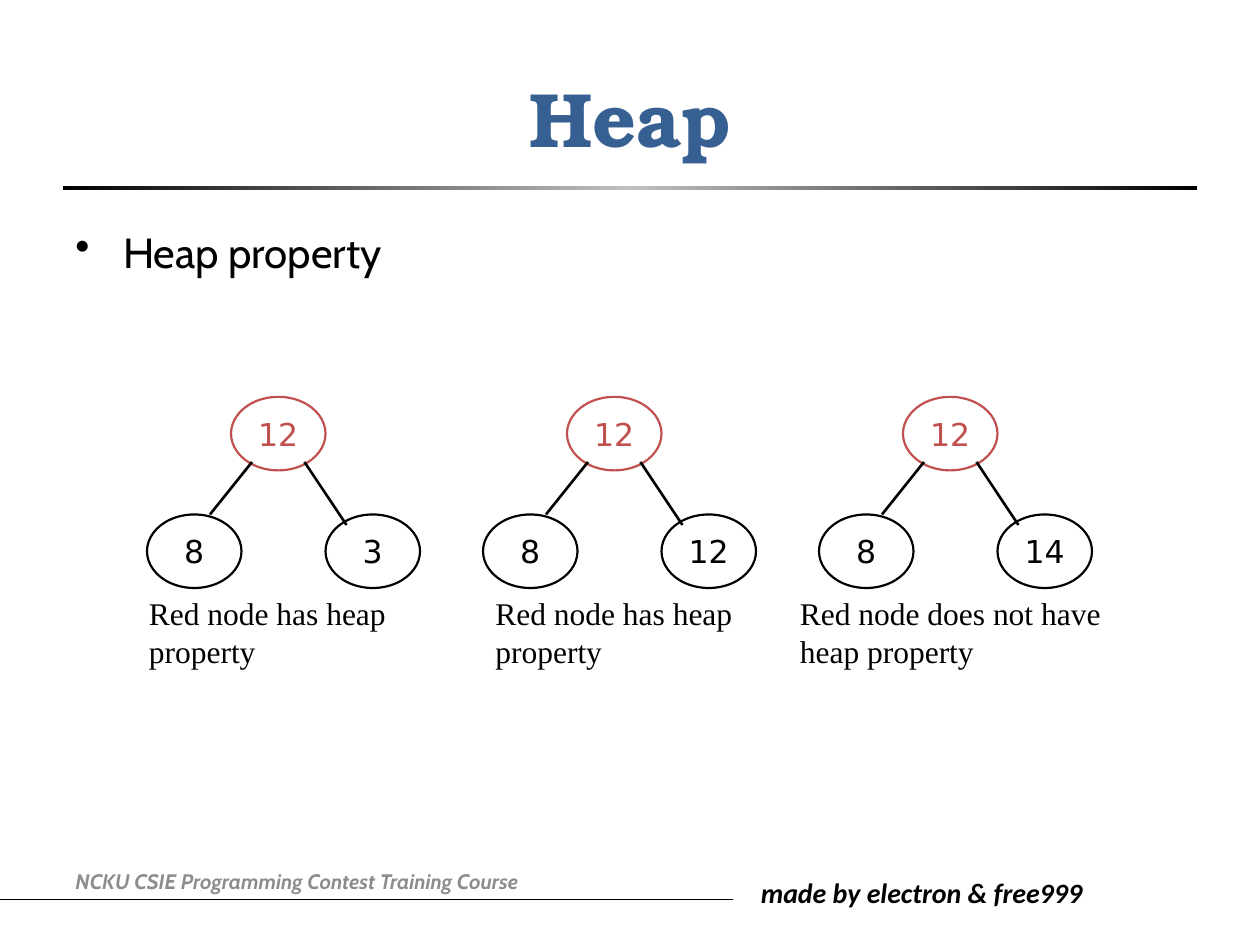
import copy
from dataclasses import dataclass

import lxml.etree
import pptx
import pptx.dml.color
import pptx.enum.shapes
import pptx.enum.text
import pptx.oxml.ns
import pptx.util

RGBColor = pptx.dml.color.RGBColor
Inches = pptx.util.Inches
Pt = pptx.util.Pt
ALIGN = pptx.enum.text.PP_ALIGN
ANCHOR = pptx.enum.text.MSO_ANCHOR
SHAPE = pptx.enum.shapes.MSO_SHAPE
qn = pptx.oxml.ns.qn

BLACK = RGBColor(0x00, 0x00, 0x00)
SILVER = RGBColor(0xC0, 0xC0, 0xC0)
GREY = RGBColor(0x8C, 0x8C, 0x8C)
BLUE = RGBColor(0x37, 0x60, 0x92)
RED = RGBColor(0xC0, 0x50, 0x4D)

UNIT = 1 / 12  # grid step in inches
TREE_PITCH = 32  # columns from one tree to the next
NODE_COLUMNS, NODE_ROWS = 9, 7
ROOT_ROW, CHILD_ROW, CAPTION_ROW = 37.8, 49, 56
MARGIN = 0.5
CONTENT_WIDTH = 9


@dataclass
class Tree:
    root: int
    left: int
    right: int
    caption: str
    caption_shift: int  # columns from the tree's left edge
    caption_columns: int


TREES = [
    Tree(12, 8, 3, "Red node has heap property", -1, 26),
    Tree(12, 8, 12, "Red node has heap property", 0, 26),
    Tree(12, 8, 14, "Red node does not have heap property", -3, 34),
]

deck = pptx.Presentation()
deck.slide_width, deck.slide_height = Inches(10), Inches(7.5)
slide = deck.slides.add_slide(deck.slide_layouts[5])


def grid(steps: float) -> int:
    return Inches(steps * UNIT)


def write(shape, text: str, *, font: str, size: float, color: RGBColor = BLACK,
          bold: bool = False, italic: bool = False, align=ALIGN.LEFT,
          anchor=ANCHOR.TOP, wrap: bool = True):
    """Put formatted text in a shape and return its paragraph."""
    frame = shape.text_frame
    frame.word_wrap = wrap
    frame.auto_size = pptx.enum.text.MSO_AUTO_SIZE.NONE
    frame.vertical_anchor = anchor
    paragraph = frame.paragraphs[0]
    paragraph.alignment = align
    run = paragraph.add_run()
    run.text = text
    run.font.name, run.font.size = font, Pt(size)
    run.font.bold, run.font.italic = bold, italic
    run.font.color.rgb = color
    return paragraph


def add_text(left: int, top: int, width: int, height: int, text: str, **text_format):
    box = slide.shapes.add_textbox(left, top, width, height)
    return write(box, text, **text_format)


def add_line(x1: int, y1: int, x2: int, y2: int, width: float) -> None:
    line = slide.shapes.add_connector(
        pptx.enum.shapes.MSO_CONNECTOR.STRAIGHT, x1, y1, x2, y2)
    line.line.color.rgb = BLACK
    line.line.width = Pt(width)
    lxml.etree.SubElement(line._element.spPr, qn("a:effectLst"))


def add_node(column: float, row: float, value: int, color: RGBColor) -> None:
    node = slide.shapes.add_shape(SHAPE.OVAL, grid(column), grid(row),
                                  grid(NODE_COLUMNS), grid(NODE_ROWS))
    node.shadow.inherit = False
    node.fill.background()
    node.line.color.rgb = color
    node.line.width = Pt(1.25)
    write(node, str(value), font="DejaVu Sans", size=18, color=color,
          align=ALIGN.CENTER, anchor=ANCHOR.MIDDLE, wrap=False)


def add_tree(tree: Tree, column: int) -> None:
    add_node(column + 8, ROOT_ROW, tree.root, RED)
    add_node(column, CHILD_ROW, tree.left, BLACK)
    add_node(column + 17, CHILD_ROW, tree.right, BLACK)
    for start, end, end_row in ((10, 6, 49), (15, 19, 50)):
        add_line(grid(column + start), grid(44), grid(column + end), grid(end_row), 1.5)
    add_text(grid(column + tree.caption_shift), grid(CAPTION_ROW),
             grid(tree.caption_columns), Inches(0.71), tree.caption,
             font="Times New Roman", size=18)


# Footer line and texts
add_line(Inches(-0.43), Inches(7.14), Inches(5.82), Inches(7.14), 0.5)
add_text(Inches(5.94), Inches(6.9), Inches(2.88), Inches(0.37),
         "made by electron & free999", font="Calibri", size=16, bold=True, italic=True)
add_text(Inches(MARGIN), Inches(6.79), Inches(4.66), Inches(0.4),
         "NCKU CSIE Programming Contest Training Course", font="Cabin", size=12,
         color=GREY, bold=True, italic=True, anchor=ANCHOR.MIDDLE)

# Title and the fading rule under it
title = slide.shapes.title
title.left, title.top = Inches(MARGIN), Inches(0.3)
title.width, title.height = Inches(CONTENT_WIDTH), Inches(1.25)
write(title, "Heap", font="TeX Gyre Bonum", size=44, color=BLUE, bold=True,
      align=ALIGN.CENTER, anchor=ANCHOR.MIDDLE)

rule = slide.shapes.add_shape(SHAPE.RECTANGLE, Inches(MARGIN), Inches(1.48),
                              Inches(CONTENT_WIDTH), Inches(0.03))
rule.shadow.inherit = False
rule.line.fill.background()
rule.fill.gradient()
rule.fill.gradient_angle = 0
stop_list = rule._element.spPr.find(qn("a:gradFill")).find(qn("a:gsLst"))
stop_list.insert(1, copy.deepcopy(stop_list[0]))
for stop, position, color in zip(rule.fill.gradient_stops, (0, 0.5, 1),
                                 (BLACK, SILVER, BLACK)):
    stop.position = position
    stop.color.rgb = color

# Bulleted heading
heading = add_text(Inches(MARGIN), Inches(1.75), Inches(CONTENT_WIDTH), Inches(4.95),
                   "Heap property", font="Cabin", size=24)
heading_format = heading._p.get_or_add_pPr()
heading_format.set("marL", str(Inches(0.38)))
heading_format.set("indent", str(Inches(-0.38)))
lxml.etree.SubElement(heading_format, qn("a:buChar")).set("char", "•")

# Three example trees
for index, tree in enumerate(TREES):
    add_tree(tree, 14 + index * TREE_PITCH)

deck.save("out.pptx")
